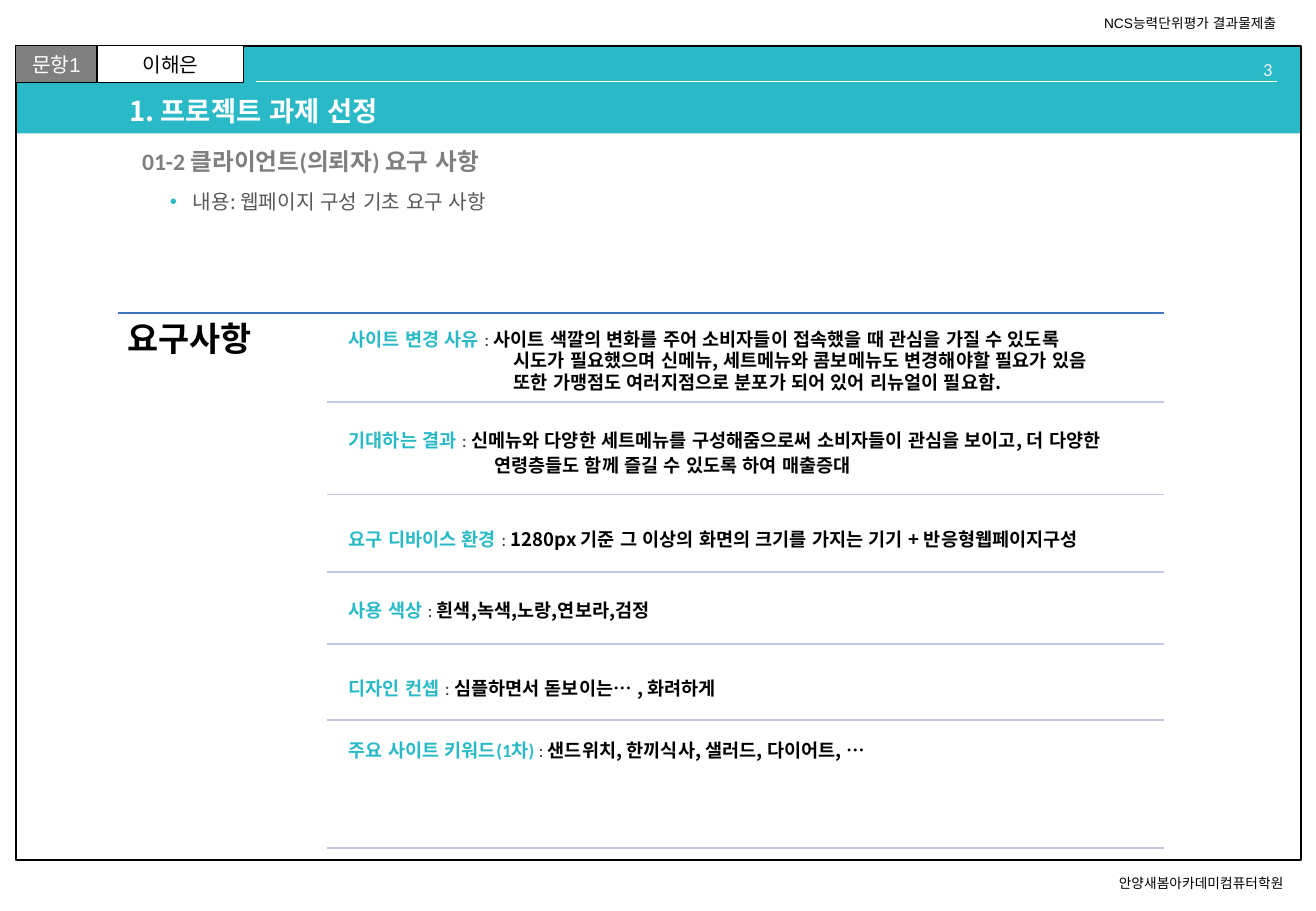
from pptx import Presentation
from pptx.dml.color import RGBColor
from pptx.enum.lang import MSO_LANGUAGE_ID as Language
from pptx.enum.shapes import MSO_CONNECTOR as Connector, MSO_SHAPE as Shape
from pptx.enum.text import MSO_ANCHOR as Anchor, PP_ALIGN as Align
from pptx.oxml.ns import qn
from pptx.util import Cm, Pt
from lxml.etree import SubElement

TEAL, GREY, BLACK, WHITE = "2AB9C7", "808080", "000000", "FFFFFF"
DIVIDER = "C1C9E4"
SANS, LATIN, KOREAN = "Arial", "Calibri", "Noto Sans CJK KR"
CONTENT_LEFT, ROW_LEFT, CONTENT_RIGHT = 2.46, 6.83, 24.33

# top, bottom, anchor, line spacing, indent of later lines, label, lines
REQUIREMENTS = [
    (6.81, 8.41, Anchor.MIDDLE, Pt(9), 3.45, "사이트 변경 사유 ", [
        "사이트 색깔의 변화를 주어 소비자들이 접속했을 때 관심을 가질 수 있도록",
        "시도가 필요했으며 신메뉴, 세트메뉴와 콤보메뉴도 변경해야할 필요가 있음",
        "또한 가맹점도 여러지점으로 분포가 되어 있어 리뉴얼이 필요함."]),
    (8.66, 10.34, Anchor.MIDDLE, Pt(11), 3.04, "기대하는 결과 ", [
        "신메뉴와 다양한 세트메뉴를 구성해줌으로써 소비자들이 관심을 보이고, 더 다양한",
        "연령층들도 함께 즐길 수 있도록 하여 매출증대"]),
    (10.59, 11.96, Anchor.MIDDLE, 1.0, 0, "요구 디바이스 환경 ", [
        "1280px 기준 그 이상의 화면의 크기를 가지는 기기 + 반응형웹페이지구성"]),
    (12.07, 13.46, Anchor.MIDDLE, 1.0, 0, "사용 색상 ", [
        "흰색,녹색,노랑,연보라,검정"]),
    (13.72, 15.06, Anchor.MIDDLE, 1.0, 0, "디자인 컨셉 ", [
        "심플하면서 돋보이는… , 화려하게"]),
    (15.32, 17.73, Anchor.TOP, 1.0, 0, "주요 사이트 키워드(1차) ", [
        "샌드위치, 한끼식사, 샐러드, 다이어트, …"]),
]


def color(value):
    return RGBColor.from_string(value)


def assign(target, values):
    for name, value in values.items():
        setattr(target, name, value)


def add_span(para, text, size, font, fill, bold=False):
    span = para.add_run()
    span.text = text
    assign(span.font, {"size": Pt(size), "name": font, "bold": bold,
                       "language_id": Language.KOREAN})
    span.font.color.rgb = color(fill)


def add_box(page, left, top, width, height, inset=None, **frame_format):
    box = page.shapes.add_textbox(Cm(left), Cm(top), Cm(width), Cm(height))
    frame = box.text_frame
    assign(frame, {"word_wrap": True, **frame_format})
    if inset is not None:
        sides = ("left", "top", "right", "bottom")
        assign(frame, {f"margin_{side}": Cm(inset) for side in sides})
    return frame


def add_label(page, area, text, size, font, fill, bold=False, wrap=True,
              anchor=Anchor.TOP, inset=None, **para_format):
    frame = add_box(page, *area, inset=inset, word_wrap=wrap, vertical_anchor=anchor)
    para = frame.paragraphs[0]
    assign(para, para_format)
    add_span(para, text, size, font, fill, bold)
    return para


def add_panel(page, area, fill=None, line_width=None):
    panel = page.shapes.add_shape(Shape.RECTANGLE, *map(Cm, area))
    panel.shadow.inherit = False
    if fill:
        panel.fill.solid()
        panel.fill.fore_color.rgb = color(fill)
    else:
        panel.fill.background()
    if line_width:
        panel.line.color.rgb = color(BLACK)
        panel.line.width = Pt(line_width)
    else:
        panel.line.fill.background()
    return panel


def add_tab(page, area, text, fill, text_fill):
    frame = add_panel(page, area, fill, 0.75).text_frame
    assign(frame, {"vertical_anchor": Anchor.MIDDLE, "margin_top": 0, "margin_bottom": 0})
    para = frame.paragraphs[0]
    para.alignment = Align.CENTER
    add_span(para, text, 12, SANS, text_fill)


def add_rule(page, left, right, top, fill, width=1):
    rule = page.shapes.add_connector(Connector.STRAIGHT, Cm(left), Cm(top), Cm(right), Cm(top))
    rule.line.color.rgb = color(fill)
    rule.line.width = Pt(width)
    SubElement(rule.element.spPr, qn("a:effectLst"))


def set_indent(para, left, first=0):
    properties = para._p.get_or_add_pPr()
    properties.set("marL", str(Cm(left)))
    properties.set("indent", str(Cm(first)))
    return properties


def add_bullet(para, mark, fill):
    properties = set_indent(para, 0.48, -0.48)
    SubElement(SubElement(properties, qn("a:buClr")), qn("a:srgbClr"), val=fill)
    SubElement(properties, qn("a:buFont"), typeface=SANS)
    SubElement(properties, qn("a:buChar"), char=mark)


def add_requirement(page, top, bottom, anchor, spacing, indent, label, lines):
    frame = add_box(page, 7.16, top, 17.15, bottom - top, inset=0.13, vertical_anchor=anchor)
    for index, line in enumerate(lines):
        para = frame.add_paragraph() if index else frame.paragraphs[0]
        assign(para, {"line_spacing": spacing, "space_after": Pt(3.85)})
        if index:
            set_indent(para, indent)
        else:
            add_span(para, label, 11, LATIN, TEAL, True)
            add_span(para, ": ", 11, LATIN, "404040")
        add_span(para, line, 11, KOREAN, BLACK, True)
    add_rule(page, ROW_LEFT, CONTENT_RIGHT, bottom, DIVIDER)


def add_page_frame(page):
    add_panel(page, (0.32, 0.96, 26.87, 1.83), TEAL)
    add_panel(page, (0.33, 0.96, 26.87, 17.02), line_width=1)
    add_label(page, (23.14, 18.16, 4.27, 0.61), "안양새봄아카데미컴퓨터학원", 8.1, SANS, BLACK, wrap=False)
    add_label(page, (22.83, 0.18, 4.37, 0.61), "NCS능력단위평가 결과물제출", 8.1, SANS, BLACK, wrap=False)
    add_tab(page, (0.33, 0.96, 1.7, 0.77), "문항1", GREY, WHITE)
    add_tab(page, (2.03, 0.96, 3.07, 0.77), "이해은", WHITE, BLACK)
    add_label(page, (23.85, 1.09, 3, 0.51), "3", 11, LATIN, "F2F2F2", alignment=Align.RIGHT)
    add_rule(page, 5.36, 26.7, 1.7, WHITE, 0.5)


def add_headings(page):
    add_label(page, (2.46, 1.93, 22.25, 0.86), "1. 프로젝트 과제 선정", 16.2, KOREAN, WHITE,
              bold=True, anchor=Anchor.MIDDLE, line_spacing=0.9)
    add_label(page, (2.72, 2.97, 22, 0.86), "01-2 클라이언트(의뢰자) 요구 사항", 14, LATIN, "7F7F7F",
              bold=True, anchor=Anchor.MIDDLE, line_spacing=0.9, space_before=Pt(10))
    content = add_label(page, (3.3, 3.84, 21.41, 0.86), "내용: 웹페이지 구성 기초 요구 사항",
                        12, KOREAN, "595959", space_before=Pt(3))
    add_bullet(content, "•", TEAL)


def main():
    deck = Presentation()
    assign(deck, {"slide_width": Cm(27.51), "slide_height": Cm(19.05)})
    page = deck.slides.add_slide(deck.slide_layouts[6])
    add_page_frame(page)
    add_headings(page)
    add_rule(page, CONTENT_LEFT, CONTENT_RIGHT, 6.55, "4472C4")
    add_label(page, (CONTENT_LEFT, 6.55, 4.37, 11.43), "요구사항", 20, LATIN, BLACK,
              bold=True, inset=0.2, line_spacing=0.9)
    for requirement in REQUIREMENTS:
        add_requirement(page, *requirement)
    deck.save("out.pptx")


if __name__ == "__main__":
    main()
